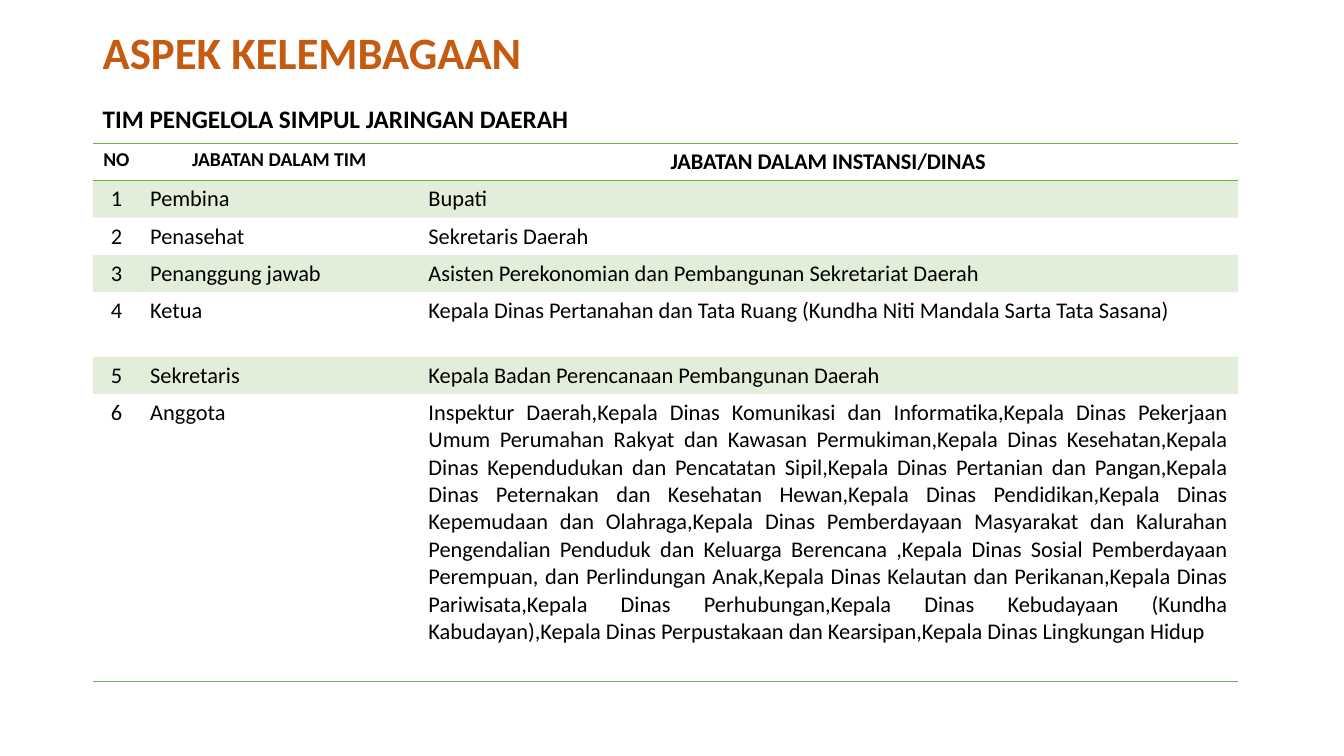
from dataclasses import dataclass
from typing import Any, NamedTuple

from lxml import etree
from pptx import Presentation
from pptx import util as u
from pptx.dml import color
from pptx.enum import text
from pptx.oxml import ns

PX = 9144  # EMU in one px, 100 px to the inch
INK = {"title": "C55A11", "text": "000000", "green": "70AD47"}
FONT = "Calibri"
PLAIN = "{2D5ABB26-0587-4C30-8999-92F81FD0307C}"  # table style without grid
MID, LEFT, FULL = (text.PP_ALIGN.CENTER, text.PP_ALIGN.LEFT,
                   text.PP_ALIGN.JUSTIFY)


@dataclass
class Label:
    words: str
    top: int
    high: int
    size: int
    ink: str
    anchor: Any


class Member(NamedTuple):
    role: str
    office: str
    high: int = 37
    align: Any = LEFT


LABELS = [
    Label("ASPEK KELEMBAGAAN", 21, 67, 32, "title", text.MSO_ANCHOR.MIDDLE),
    Label("TIM PENGELOLA SIMPUL JARINGAN DAERAH", 101, 526, 18, "text",
          text.MSO_ANCHOR.TOP),
]
HEADS = [("NO", 14), ("JABATAN DALAM TIM", 14),
         ("JABATAN DALAM INSTANSI/DINAS", 16)]
WIDTHS = [47, 276, 813]
TEAM = [
    Member("Pembina", "Bupati"),
    Member("Penasehat", "Sekretaris Daerah"),
    Member("Penanggung jawab",
           "Asisten Perekonomian dan Pembangunan Sekretariat Daerah"),
    Member("Ketua", "Kepala Dinas Pertanahan dan Tata Ruang "
           "(Kundha Niti Mandala Sarta Tata Sasana)", 64),
    Member("Sekretaris", "Kepala Badan Perencanaan Pembangunan Daerah"),
    Member("Anggota", (
        "Inspektur Daerah,Kepala Dinas Komunikasi dan Informatika,"
        "Kepala Dinas Pekerjaan Umum Perumahan Rakyat dan Kawasan Permukiman,"
        "Kepala Dinas Kesehatan,Kepala Dinas Kependudukan dan Pencatatan Sipil,"
        "Kepala Dinas Pertanian dan Pangan,"
        "Kepala Dinas Peternakan dan Kesehatan Hewan,Kepala Dinas Pendidikan,"
        "Kepala Dinas Kepemudaan dan Olahraga,"
        "Kepala Dinas Pemberdayaan Masyarakat dan Kalurahan "
        "Pengendalian Penduduk dan Keluarga Berencana ,"
        "Kepala Dinas Sosial Pemberdayaan Perempuan, dan Perlindungan Anak,"
        "Kepala Dinas Kelautan dan Perikanan,Kepala Dinas Pariwisata,"
        "Kepala Dinas Perhubungan,Kepala Dinas Kebudayaan (Kundha Kabudayan),"
        "Kepala Dinas Perpustakaan dan Kearsipan,"
        "Kepala Dinas Lingkungan Hidup"), 285, FULL),
]


def px(num: int) -> u.Emu:
    return u.Emu(num * PX)


def write(frame: Any, words: str, size: int, bold: bool,
          ink: str = "text", **form: Any) -> None:
    """Put one formatted paragraph in a text frame."""
    para = frame.paragraphs[0]
    for key, val in form.items():
        setattr(para, key, val)
    run = para.add_run()
    run.text = words
    look = {"name": FONT, "size": u.Pt(size), "bold": bold}
    for key, val in look.items():
        setattr(run.font, key, val)
    run.font.color.rgb = color.RGBColor.from_string(INK[ink])


def label(slide: Any, item: Label) -> None:
    box = slide.shapes.add_textbox(px(92), px(item.top), px(1150), px(item.high))
    frame = box.text_frame
    form = {"word_wrap": True, "vertical_anchor": item.anchor}
    for key, val in form.items():
        setattr(frame, key, val)
    write(frame, item.words, item.size, True, item.ink, line_spacing=0.9)


def paint(node: Any) -> Any:
    """Add a green solid fill to an XML node and return its colour."""
    fill = etree.SubElement(node, ns.qn("a:solidFill"))
    return etree.SubElement(fill, ns.qn("a:srgbClr"), val=INK["green"])


def trim(cell: Any, sides: str, band: bool) -> None:
    """Give a cell its rules, then its band or no fill."""
    prop = cell._tc.get_or_add_tcPr()
    for side in sides:
        paint(etree.SubElement(prop, ns.qn(f"a:ln{side}"), w=str(u.Pt(1))))
    if band:
        etree.SubElement(paint(prop), ns.qn("a:alpha"), val="20000")
    else:
        cell.fill.background()


def roster(slide: Any) -> None:
    highs = [37] + [row.high for row in TEAM]
    frame = slide.shapes.add_table(len(highs), len(WIDTHS), px(92), px(142),
                                   px(sum(WIDTHS)), px(sum(highs)))
    table = frame.table
    table.horz_banding = False
    table._tbl.tblPr.find(ns.qn("a:tableStyleId")).text = PLAIN
    for col, wide in zip(table.columns, WIDTHS):
        col.width = px(wide)
    for row, high in zip(table.rows, highs):
        row.height = px(high)

    # Header
    for col, (head, size) in enumerate(HEADS):
        cell = table.cell(0, col)
        write(cell.text_frame, head, size, True, alignment=MID)
        trim(cell, "TB", False)

    # Members, odd rows banded
    for num, row in enumerate(TEAM, 1):
        cells = [(str(num), MID), (row.role, LEFT), (row.office, row.align)]
        for col, (words, align) in enumerate(cells):
            cell = table.cell(num, col)
            write(cell.text_frame, words, 16, False, alignment=align)
            trim(cell, "B" if num == len(TEAM) else "", num % 2 == 1)


def main() -> None:
    deck = Presentation()
    deck.slide_width, deck.slide_height = px(1333), px(750)
    slide = deck.slides.add_slide(deck.slide_layouts[6])
    for item in LABELS:
        label(slide, item)
    roster(slide)
    deck.save("out.pptx")


if __name__ == "__main__":
    main()
